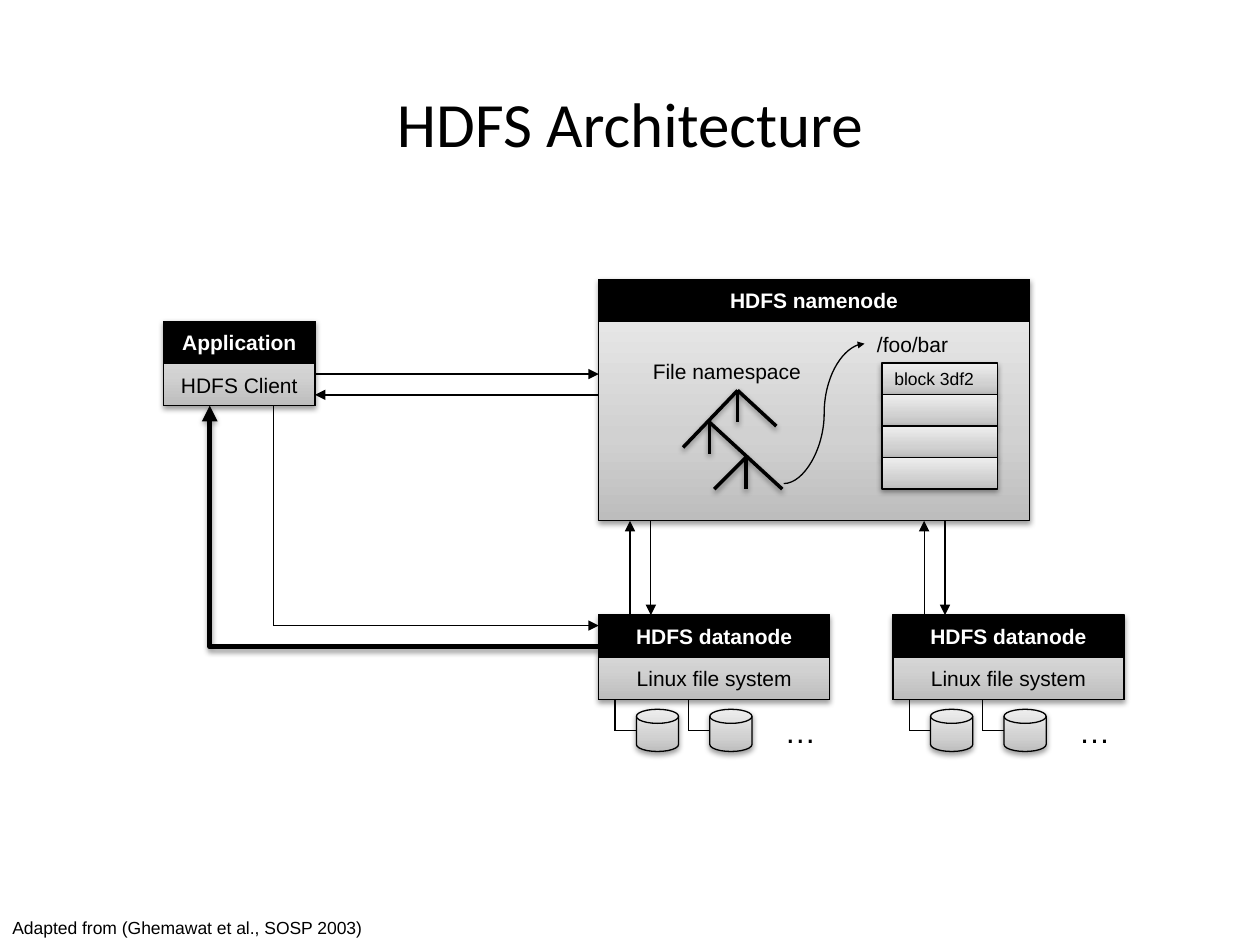
from copy import deepcopy
from dataclasses import dataclass

from lxml.etree import SubElement
from pptx import Presentation
from pptx.dml.color import RGBColor
from pptx.enum.shapes import MSO_CONNECTOR, MSO_SHAPE
from pptx.enum.text import MSO_ANCHOR, MSO_AUTO_SIZE, PP_ALIGN
from pptx.oxml.ns import qn
from pptx.util import Cm, Pt


@dataclass(frozen=True)
class Theme:
    ink: str = "000000"
    paper: str = "FFFFFF"
    metal: tuple = ((0, "BDBDBD"), (0.35, "D1D1D1"), (1, "EEEEEE"))
    font: str = "Arial"
    title_font: str = "Calibri"
    title: int = 36
    dots: int = 18
    body: int = 12
    small: int = 10
    thin: float = 0.75
    branch: float = 2
    thick: float = 3


@dataclass(frozen=True)
class Box:
    """A region in centimetres."""
    left: float
    top: float
    width: float
    height: float

    def inner(self, left, top, width, height):
        return Box(self.left + left, self.top + top, width, height)

    def point(self, x, y):
        return self.left + x, self.top + y

    def lengths(self):
        return [Cm(v) for v in (self.left, self.top, self.width, self.height)]


THEME = Theme()
ROW = 0.85  # height of one labelled row in a node


def add_shadow(properties):
    effects = properties.find(qn("a:effectLst"))
    shadow = SubElement(effects, qn("a:outerShdw"), blurRad="40000",
                        dist="20000", dir="5400000", rotWithShape="0")
    color = SubElement(shadow, qn("a:srgbClr"), val=THEME.ink)
    SubElement(color, qn("a:alpha"), val="38000")


def write(shape, text, size=THEME.body, font=THEME.font, color=THEME.ink,
          bold=False, align=PP_ALIGN.LEFT, anchor=MSO_ANCHOR.MIDDLE, wrap=True):
    frame = shape.text_frame
    frame.word_wrap = wrap
    frame.vertical_anchor = anchor
    para = frame.paragraphs[0]
    para.alignment = align
    span = para.add_run()
    span.text = text
    span.font.size = Pt(size)
    span.font.name = font
    span.font.bold = bold
    span.font.color.rgb = RGBColor.from_string(color)


def add_label(shapes, box, text, **style):
    label = shapes.add_textbox(*box.lengths())
    write(label, text, anchor=MSO_ANCHOR.TOP, wrap=False, **style)
    label.text_frame.auto_size = MSO_AUTO_SIZE.SHAPE_TO_FIT_TEXT


def add_block(shapes, box, fill=None, kind=MSO_SHAPE.RECTANGLE):
    """Outlined shape; fill is a colour, a tuple of gradient stops or None."""
    shape = shapes.add_shape(kind, *box.lengths())
    shape.shadow.inherit = False
    shape.line.color.rgb = RGBColor.from_string(THEME.ink)
    shape.line.width = Pt(THEME.thin)
    if fill is None:
        shape.fill.background()
    elif isinstance(fill, str):
        shape.fill.solid()
        shape.fill.fore_color.rgb = RGBColor.from_string(fill)
    else:
        shape.fill.gradient()
        shape.fill.gradient_angle = 90
        stop_list = shape._element.spPr.find(".//" + qn("a:gsLst"))
        stop_list.append(deepcopy(stop_list[0]))
        for stop, (position, color) in zip(shape.fill.gradient_stops, fill):
            stop.position = position
            stop.color.rgb = RGBColor.from_string(color)
        add_shadow(shape._element.spPr)
    return shape


def add_line(shapes, start, end, width=THEME.thin, kind=MSO_CONNECTOR.STRAIGHT,
             head=None, shadow=False):
    """Connector; head is the arrowhead size at its end."""
    line = shapes.add_connector(kind, *[Cm(v) for v in (*start, *end)])
    line.line.color.rgb = RGBColor.from_string(THEME.ink)
    line.line.width = Pt(width)
    if head:
        SubElement(line.get_or_add_ln(), qn("a:tailEnd"),
                   type="triangle", w=head, len=head)
    properties = line._element.spPr
    SubElement(properties, qn("a:effectLst"))
    if shadow:
        add_shadow(properties)
    return line


def add_header(shapes, box, text):
    header = add_block(shapes, box.inner(0, 0, box.width, ROW), THEME.ink)
    write(header, text, color=THEME.paper, bold=True, align=PP_ALIGN.CENTER)


def add_node(shapes, box, name, caption):
    add_block(shapes, box, THEME.metal)
    add_header(shapes, box, name)
    row = add_block(shapes, box.inner(0, ROW, box.width, box.height - ROW))
    write(row, caption, align=PP_ALIGN.CENTER)


def add_namenode(shapes, box):
    add_block(shapes, box, THEME.metal)
    add_header(shapes, box, "HDFS namenode")
    add_label(shapes, box.inner(0.84, 1.48, 3.53, 0.76), "File namespace")
    add_label(shapes, box.inner(5.36, 0.92, 1.96, 0.76), "/foo/bar")

    # Namespace tree: each parent with the ends of its branches
    branches = {
        (2.8, 2.24): [(1.7, 3.39), (2.8, 2.88), (3.58, 2.96)],
        (2.23, 2.88): [(2.23, 3.52), (3.7, 4.23)],
        (2.97, 3.59): [(2.33, 4.23), (2.97, 4.23)],
    }
    for parent, children in branches.items():
        for child in children:
            add_line(shapes, box.point(*parent), box.point(*child),
                     width=THEME.branch, shadow=True)
    add_line(shapes, box.point(3.73, 4.12), box.point(5.36, 1.3),
             kind=MSO_CONNECTOR.CURVE, head="sm")

    # Block list of the file
    texts = ["block 3df2", "", "", ""]
    height = 2.54 / len(texts)
    for index, text in enumerate(texts):
        cell = add_block(shapes, box.inner(5.71, 1.69 + index * height, 2.33, height),
                         THEME.metal)
        if text:
            write(cell, text, size=THEME.small)


def add_datanode(shapes, box):
    add_node(shapes, box, "HDFS datanode", "Linux file system")
    # Disks hanging below the node
    for offset in (0, 1.48):
        corner = box.point(offset + 0.33, 2.33)
        add_block(shapes, box.inner(offset + 0.76, 1.9, ROW, ROW), THEME.metal,
                  MSO_SHAPE.FLOWCHART_MAGNETIC_DISK)
        add_line(shapes, box.point(offset + 0.33, box.height), corner)
        add_line(shapes, corner, box.point(offset + 0.76, 2.33))
    add_label(shapes, box.inner(3.5, 1.82, 1.13, 1.02), "…", size=THEME.dots)
    # Exchange with the namenode above
    add_line(shapes, box.point(1.05, -1.9), box.point(1.05, 0), head="med")
    add_line(shapes, box.point(0.63, 0), box.point(0.63, -1.9), head="med")


def add_client_links(shapes, client, namenode, datanode):
    right, bottom = client.left + client.width, client.top + client.height
    add_line(shapes, (right, 7.54), (namenode.left, 7.54), head="med")
    add_line(shapes, (namenode.left, 7.96), (right, 7.96), head="med")
    # Request to the datanode
    corner = (client.left + 2.21, datanode.top + 0.21)
    add_line(shapes, corner, (datanode.left, corner[1]), head="med")
    add_line(shapes, corner, (corner[0], bottom))
    # Bulk data back to the client
    data = add_line(shapes, datanode.point(0, 0.64), (client.left + 0.93, bottom),
                    width=THEME.thick, kind=MSO_CONNECTOR.ELBOW, head="med", shadow=True)
    data._element.spPr.find(qn("a:prstGeom")).set("prst", "bentConnector2")


def build_architecture(page):
    shapes = page.shapes
    title = shapes.add_textbox(*Box(0, 1.52, 25.4, 1.91).lengths())
    write(title, "HDFS Architecture", size=THEME.title, font=THEME.title_font,
          align=PP_ALIGN.CENTER)
    add_label(shapes, Box(0, 18.37, 7.62, 0.68),
              "Adapted from (Ghemawat et al., SOSP 2003)", size=THEME.small)

    client = Box(3.3, 6.48, 3.05, 2 * ROW)
    namenode = Box(12.07, 5.63, 8.68, 4.87)
    datanodes = [Box(namenode.left + index * 5.93, 12.4, 4.66, 2 * ROW)
                 for index in range(2)]
    add_client_links(shapes, client, namenode, datanodes[0])
    add_node(shapes, client, "Application", "HDFS Client")
    add_namenode(shapes, namenode)
    for box in datanodes:
        add_datanode(shapes.add_group_shape().shapes, box)


def main():
    deck = Presentation()
    deck.slide_width, deck.slide_height = Cm(25.4), Cm(19.05)
    build_architecture(deck.slides.add_slide(deck.slide_layouts[6]))
    deck.save("out.pptx")


if __name__ == "__main__":
    main()
